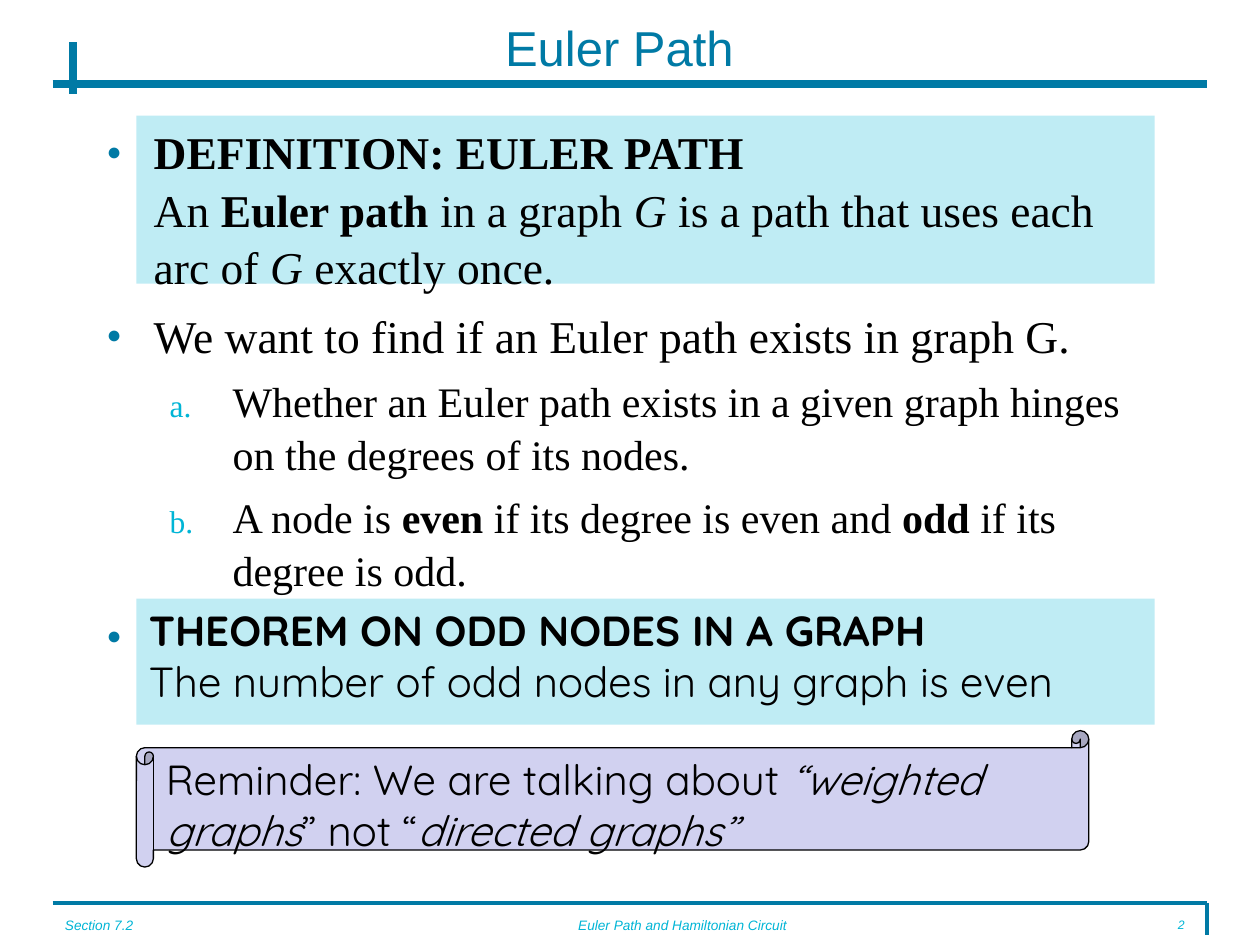
from dataclasses import dataclass
from typing import NamedTuple

from lxml.etree import SubElement
from pptx import Presentation
from pptx.dml.color import RGBColor
from pptx.enum.shapes import MSO_CONNECTOR, MSO_SHAPE
from pptx.enum.text import MSO_ANCHOR, PP_ALIGN
from pptx.oxml.ns import qn
from pptx.util import Cm, Pt


@dataclass(frozen=True)
class Theme:
    blue: str = "007AA5"
    cyan: str = "00B5D6"
    lilac: str = "D1D1F0"
    black: str = "000000"
    sans: str = "Arial"
    serif: str = "Times New Roman"
    rounded: str = "Quicksand"
    title: float = 28
    main: float = 26
    detail: float = 24
    footer: float = 7.8
    number: float = 7


THEME = Theme()


class Box(NamedTuple):
    left: float
    top: float
    width: float
    height: float


class Rule(NamedTuple):
    x1: float
    y1: float
    x2: float
    y2: float
    weight: float


class Run(NamedTuple):
    text: str
    style: str = ""


class Bullet(NamedTuple):
    tag: str
    attribute: str
    value: str
    color: str
    percent: int
    margin: float
    indent: float


@dataclass(frozen=True)
class Style:
    font: str
    size: float
    color: str = THEME.black
    align: PP_ALIGN = PP_ALIGN.LEFT
    spacing: float = 1.0
    before: float = 0
    bullet: Bullet | None = None


@dataclass(frozen=True)
class Footer:
    box: Box
    text: str
    align: PP_ALIGN
    size: float = THEME.footer


DOT = Bullet("a:buChar", "char", "●", THEME.blue, 55, 0.95, -0.95)
LETTER = Bullet("a:buAutoNum", "type", "alphaLcPeriod", THEME.cyan, 75, 2.54, -1.27)
HEADING = Style(THEME.sans, THEME.title, THEME.blue, PP_ALIGN.CENTER)
POINT = Style(THEME.serif, THEME.main, spacing=1.05, before=6.5, bullet=DOT)
SUBPOINT = Style(THEME.serif, THEME.detail, spacing=1.05, before=6, bullet=LETTER)
CALLOUT = Style(THEME.rounded, THEME.detail)

RULES = [
    Rule(1.06, 18.2, 24.34, 18.2, 2.25),
    Rule(24.34, 18.2, 24.34, 18.84, 2.25),
    Rule(1.06, 1.69, 24.34, 1.69, 4.5),
    Rule(1.48, 0.85, 1.48, 1.9, 4.5),
]
FOOTERS = [
    Footer(Box(1.06, 18.42, 4.45, 0.64), "Section 7.2", PP_ALIGN.LEFT),
    Footer(Box(8.47, 18.42, 10.58, 0.64), "Euler Path and Hamiltonian Circuit", PP_ALIGN.CENTER),
    Footer(Box(22.23, 18.42, 1.9, 0.64), "2", PP_ALIGN.RIGHT, THEME.number),
]
BODY = [
    (POINT, [
        Run("DEFINITION: EULER PATH\n", "b"), Run("An "), Run("Euler path ", "b"),
        Run("in a graph "), Run("G ", "i"), Run("is a path that uses each arc of "),
        Run("G ", "i"), Run("exactly once."),
    ]),
    (POINT, [Run("We want to find if an Euler path exists in graph G.")]),
    (SUBPOINT, [Run("Whether an Euler path exists in a given graph hinges "
                    "on the degrees of its nodes.")]),
    (SUBPOINT, [
        Run("A node is "), Run("even ", "b"), Run("if its degree is even and "),
        Run("odd ", "b"), Run("if its degree is odd."),
    ]),
    (POINT, [Run(" ")]),
]
THEOREM = [
    (CALLOUT, [Run("THEOREM ON ODD NODES IN A GRAPH", "b")]),
    (CALLOUT, [Run("The number of odd nodes in any graph is even")]),
]
REMINDER = [
    (CALLOUT, [
        Run("Reminder: We are talking about "), Run("“weighted graphs", "i"),
        Run("” not “"), Run("directed graphs”", "i"),
    ]),
]


def add_rule(slide, rule: Rule) -> None:
    line = slide.shapes.add_connector(
        MSO_CONNECTOR.STRAIGHT, *map(Cm, (rule.x1, rule.y1, rule.x2, rule.y2)))
    line.line.color.rgb = RGBColor.from_string(THEME.blue)
    line.line.width = Pt(rule.weight)
    SubElement(line.element.spPr, qn("a:effectLst"))


def add_bullet(paragraph, bullet: Bullet) -> None:
    properties = paragraph._p.get_or_add_pPr()
    properties.set("marL", str(Cm(bullet.margin)))
    properties.set("indent", str(Cm(bullet.indent)))
    color = SubElement(properties, qn("a:buClr"))
    SubElement(color, qn("a:srgbClr"), val=bullet.color)
    SubElement(properties, qn("a:buSzPct"), val=str(bullet.percent * 1000))
    SubElement(properties, qn("a:buFont"), typeface=THEME.sans)
    SubElement(properties, qn(bullet.tag), {bullet.attribute: bullet.value})


def write_text(frame, paragraphs: list, anchor: MSO_ANCHOR = MSO_ANCHOR.TOP) -> None:
    frame.word_wrap = True
    frame.vertical_anchor = anchor
    for index, (style, runs) in enumerate(paragraphs):
        paragraph = frame.add_paragraph() if index else frame.paragraphs[0]
        if style.bullet:
            add_bullet(paragraph, style.bullet)
        layout = {
            "alignment": style.align,
            "line_spacing": style.spacing,
            "space_before": Pt(style.before if index else 0),
        }
        for name, value in layout.items():
            setattr(paragraph, name, value)
        for part in runs:
            run = paragraph.add_run()
            run.text = part.text.rstrip("\n")
            look = {
                "name": style.font,
                "size": Pt(style.size),
                "bold": "b" in part.style,
                "italic": "i" in part.style,
            }
            for name, value in look.items():
                setattr(run.font, name, value)
            run.font.color.rgb = RGBColor.from_string(style.color)
            if part.text.endswith("\n"):
                paragraph.add_line_break()


def add_text(slide, box: Box, paragraphs: list, anchor: MSO_ANCHOR = MSO_ANCHOR.TOP) -> None:
    write_text(slide.shapes.add_textbox(*map(Cm, box)).text_frame, paragraphs, anchor)


def add_panel(slide, kind: MSO_SHAPE, box: Box, fill: str, paragraphs: list,
              opacity: int = 100, outlined: bool = False) -> None:
    panel = slide.shapes.add_shape(kind, *map(Cm, box))
    panel.shadow.inherit = False
    panel.fill.solid()
    panel.fill.fore_color.rgb = RGBColor.from_string(fill)
    if opacity < 100:
        color = panel.element.spPr.find(f"{qn('a:solidFill')}/{qn('a:srgbClr')}")
        SubElement(color, qn("a:alpha"), val=str(opacity * 1000))
    if outlined:
        panel.line.color.rgb = RGBColor.from_string(THEME.black)
        panel.line.width = Pt(0.75)
    else:
        panel.line.fill.background()
    write_text(panel.text_frame, paragraphs)


def main() -> None:
    deck = Presentation()
    deck.slide_width, deck.slide_height = Cm(25.4), Cm(19.05)
    slide = deck.slides.add_slide(deck.slide_layouts[6])
    for rule in RULES:
        add_rule(slide, rule)
    add_panel(slide, MSO_SHAPE.RECTANGLE, Box(2.75, 2.33, 20.53, 3.39), THEME.cyan, [], 25)
    add_text(slide, Box(1.9, 2.33, 21.59, 15.24), BODY)
    add_panel(slide, MSO_SHAPE.RECTANGLE, Box(2.75, 12.07, 20.53, 2.54), THEME.cyan, THEOREM, 25)
    for footer in FOOTERS:
        style = Style(THEME.sans, footer.size, THEME.cyan, footer.align, 0.8)
        add_text(slide, footer.box, [(style, [Run(footer.text, "i")])])
    add_text(slide, Box(1.69, 0.42, 21.59, 1.06), [(HEADING, [Run("Euler Path")])],
             MSO_ANCHOR.MIDDLE)
    add_panel(slide, MSO_SHAPE.HORIZONTAL_SCROLL, Box(2.75, 14.73, 19.2, 2.75), THEME.lilac,
              REMINDER, outlined=True)
    deck.save("out.pptx")


if __name__ == "__main__":
    main()
